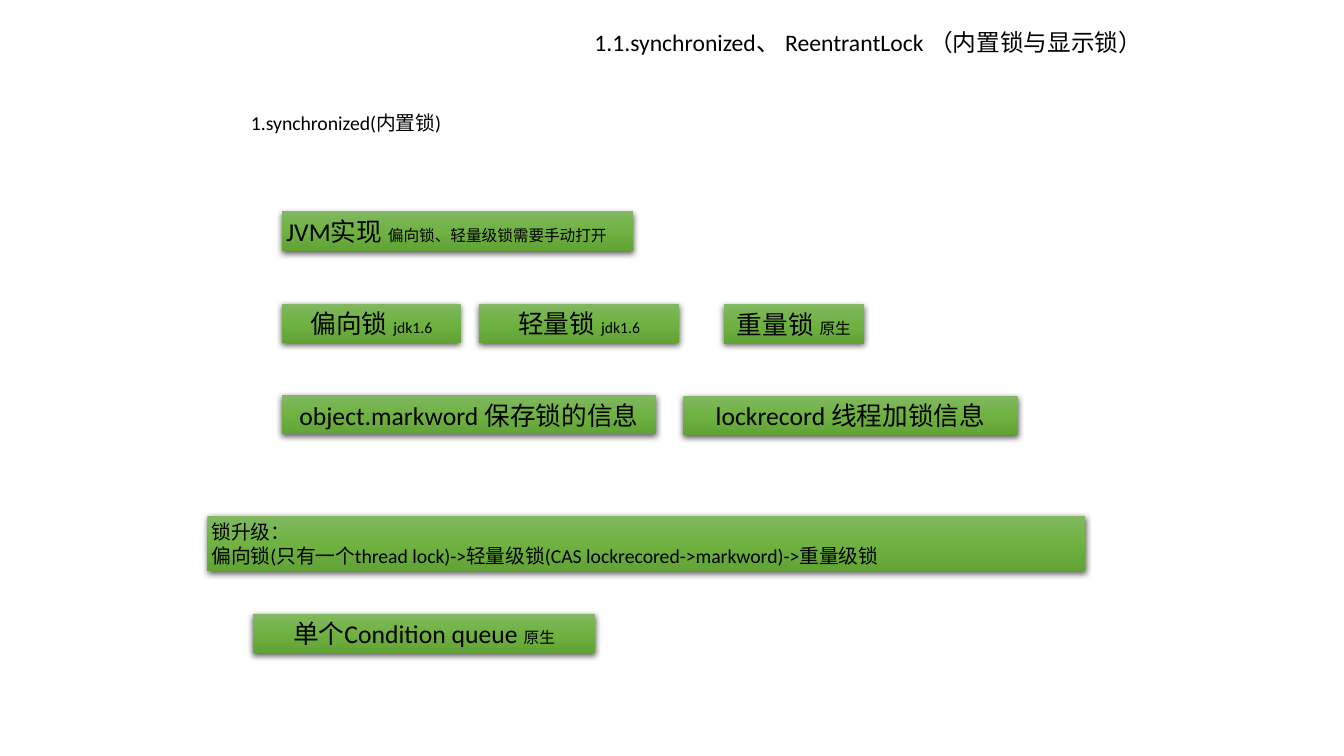
from copy import deepcopy

from lxml import etree
from pptx import Presentation
from pptx import util as u
from pptx.dml.color import RGBColor
from pptx.enum import shapes, text
from pptx.oxml import parse_xml
from pptx.oxml.ns import nsdecls, qn

BLACK = RGBColor(0, 0, 0)
LIGHT = RGBColor(0x81, 0xB8, 0x61)
GREEN = RGBColor(0x6F, 0xB2, 0x42)
DARK = RGBColor(0x62, 0xA3, 0x36)
LEFT, MID = text.PP_ALIGN.LEFT, text.PP_ALIGN.CENTER
BIG, BODY, SMALL = 18.3, 14.1, 11.2

LOCKS = [
    ((7.11, 5.33, 8.84, 0.99), LEFT, [[("JVM实现 ", BIG), ("偏向锁、轻量级锁需要手动打开", SMALL)]]),
    ((7.11, 7.65, 4.5, 0.99), MID, [[("偏向锁 ", BIG), ("jdk1.6", SMALL)]]),
    ((12.07, 7.65, 5.05, 0.99), MID, [[("轻量锁 ", BIG), ("jdk1.6", SMALL)]]),
    ((18.24, 7.67, 3.53, 0.99), MID, [[("重量锁 ", BIG), ("原生", SMALL)]]),
    ((7.11, 9.96, 9.42, 0.99), MID, [[("object.markword 保存锁的信息", BIG)]]),
    ((17.22, 9.98, 8.43, 0.99), MID, [[("lockrecord 线程加锁信息", BIG)]]),
    ((5.23, 13.0, 22.12, 1.4), LEFT, [
        [("锁升级：", BODY)],
        [("偏向锁(只有一个thread lock)->轻量级锁(CAS lockrecored->markword)->重量级锁", BODY)],
    ]),
    ((6.38, 15.47, 8.61, 0.99), MID, [[("单个Condition queue ", BIG), ("原生", SMALL)]]),
]


def place(shape, box):
    """Move and size a shape in centimetres."""
    shape.left, shape.top, shape.width, shape.height = map(u.Cm, box)


def write(shape, paras, align=LEFT, tab=None):
    """Fill a shape with paragraphs of (text, size) runs."""
    frame = shape.text_frame
    frame.word_wrap = True
    frame.auto_size = text.MSO_AUTO_SIZE.NONE
    frame.vertical_anchor = text.MSO_ANCHOR.MIDDLE
    frame.margin_left = frame.margin_right = u.Cm(0.1)
    frame.margin_top = frame.margin_bottom = u.Cm(0.1)
    for i, runs in enumerate(paras):
        para = frame.paragraphs[0] if i == 0 else frame.add_paragraph()
        para.alignment = align
        if tab:
            stops = etree.SubElement(para._p.get_or_add_pPr(), qn("a:tabLst"))
            etree.SubElement(stops, qn("a:tab"), pos=str(u.Cm(tab)), algn="l")
        for words, size in runs:
            run = para.add_run()
            run.text = words
            run.font.name = "Calibri"
            run.font.size = u.Pt(size)
            run.font.color.rgb = BLACK


def shade(shape):
    """Give a shape the green gradient and a soft shadow."""
    shape.line.fill.background()
    shape.fill.gradient()
    shape.fill.gradient_angle = 270
    first, last = shape.fill.gradient_stops
    first.color.rgb, last.color.rgb = GREEN, DARK
    first.position, last.position = 0.5, 1
    mid = shape.element.spPr.find(".//" + qn("a:gs"))
    top = deepcopy(mid)
    top.set("pos", "0")
    top[0].set("val", str(LIGHT))
    mid.addprevious(top)
    shape.shadow.inherit = False
    shape.element.spPr.find(qn("a:effectLst")).append(parse_xml(
        f'<a:outerShdw {nsdecls("a")} blurRad="{u.Pt(4.5)}" dist="{u.Pt(1.5)}" '
        'dir="5400000" algn="ctr" rotWithShape="0"><a:srgbClr val="000000">'
        '<a:alpha val="63000"/></a:srgbClr></a:outerShdw>'))


def add_lock(slide, box, align, paras):
    """Add one green box with its text."""
    shape = slide.shapes.add_shape(shapes.MSO_SHAPE.RECTANGLE, *map(u.Cm, box))
    shade(shape)
    write(shape, paras, align=align)


def main():
    """Build the slide on locks."""
    deck = Presentation()
    deck.slide_width, deck.slide_height = u.Cm(33.87), u.Cm(19.05)
    slide = deck.slides.add_slide(deck.slide_layouts[5])
    title = slide.shapes.title
    place(title, (12.34, 0.61, 17.3, 0.91))
    write(title, [[("\t1.1.synchronized、 ReentrantLock （内置锁与显示锁）", 16.9)]], tab=2.54)
    label = slide.shapes.add_textbox(*map(u.Cm, (6.22, 2.69, 5.0, 0.79)))
    write(label, [[("1.synchronized(内置锁)", BODY)]], align=MID)
    for box, align, paras in LOCKS:
        add_lock(slide, box, align, paras)
    deck.save("out.pptx")


if __name__ == "__main__":
    main()
